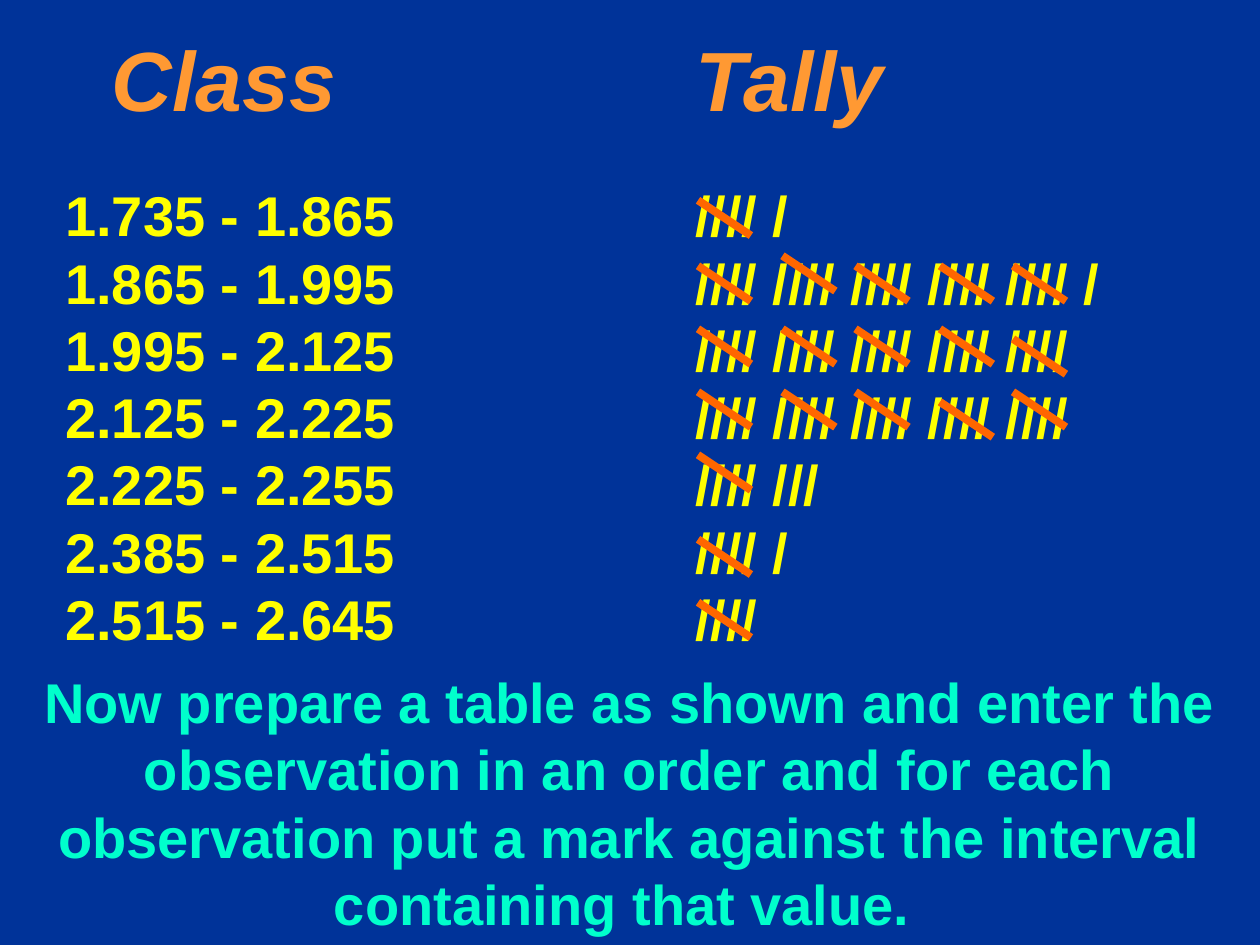
"""Build a slide that shows class intervals with their tally marks."""
import pptx
import pptx.dml.color
import pptx.enum.shapes
import pptx.enum.text
import pptx.oxml
import pptx.oxml.ns
import pptx.util

Inches, Pt = pptx.util.Inches, pptx.util.Pt
ALIGN = pptx.enum.text.PP_ALIGN

HEADINGS = ("Class", "Tally")
ROWS = [
    ("1.735 - 1.865", "//// /", [1.59]),
    ("1.865 - 1.995", "//// //// //// //// //// /", [2.11, 2.03, 2.11, 2.11, 2.11]),
    ("1.995 - 2.125", "//// //// //// //// ////", [2.61, 2.61, 2.61, 2.61, 2.69]),
    ("2.125 - 2.225", "//// //// //// //// ////", [3.11, 3.11, 3.11, 3.19, 3.11]),
    ("2.225 - 2.255", "//// ///", [3.61]),
    ("2.385 - 2.515", "//// /", [4.28]),
    ("2.515 - 2.645", "////", [4.78]),
]
INSTRUCTION = (
    "Now prepare a table as shown and enter the observation in an order and "
    "for each observation put a mark against the interval containing that value. "
)
STRIKE_LEFTS = [5.54, 6.21, 6.79, 7.46, 8.04]
STRIKE_WIDTH, STRIKE_HEIGHT = 0.42, 0.28
HEADING_TAB, TALLY_TAB = 0.37, 5
LINE_RATIO = 1.2

HEADING = {"size": Pt(48), "bold": True, "italic": True, "name": "Arial"}
BODY = {"size": Pt(32), "bold": True, "italic": False, "name": "Arial"}


def colour(value):
    return pptx.dml.color.RGBColor.from_string(value)


def add_box(page, left, top, width, height):
    frame = page.shapes.add_textbox(*map(Inches, (left, top, width, height))).text_frame
    frame.word_wrap = True
    return frame


def write(paragraph, text, style, hue, tabs=(), align=ALIGN.LEFT, before=0):
    paragraph.alignment = align
    paragraph.line_spacing = Pt(style["size"].pt * LINE_RATIO)
    paragraph.space_before = Pt(before)
    if tabs:
        properties = paragraph._p.get_or_add_pPr()
        stops = pptx.oxml.parse_xml(f"<a:tabLst {pptx.oxml.ns.nsdecls('a')}/>")
        for position in tabs:
            stop = stops.makeelement(pptx.oxml.ns.qn("a:tab"), {"pos": str(Inches(position)), "algn": "l"})
            stops.append(stop)
        properties.append(stops)
    span = paragraph.add_run()
    span.text = text
    for key, value in style.items():
        setattr(span.font, key, value)
    span.font.color.rgb = colour(hue)


def add_strike(page, left, top):
    ends = map(Inches, (left, top, left + STRIKE_WIDTH, top + STRIKE_HEIGHT))
    strike = page.shapes.add_connector(pptx.enum.shapes.MSO_CONNECTOR.STRAIGHT, *ends)
    strike.line.color.rgb = colour("FF6600")
    strike.line.width = Pt(4.5)
    strike._element.spPr.append(pptx.oxml.parse_xml(f"<a:effectLst {pptx.oxml.ns.nsdecls('a')}/>"))


def main():
    deck = pptx.Presentation()
    deck.slide_width, deck.slide_height = Inches(10), Inches(7.5)
    page = deck.slides.add_slide(deck.slide_layouts[6])
    page.background.fill.solid()
    page.background.fill.fore_color.rgb = colour("003399")

    instruction = add_box(page, 0, 5.25, 10, 2.24)
    write(instruction.paragraphs[0], INSTRUCTION, BODY, "00FFCC", align=ALIGN.CENTER)

    tally = add_box(page, 0.42, 0.17, 9.33, 5.05)
    write(tally.paragraphs[0], "\t" + "\t".join(HEADINGS), HEADING, "FF9933", (HEADING_TAB, TALLY_TAB))
    for index, (interval, marks, strike_tops) in enumerate(ROWS):
        write(tally.add_paragraph(), f"{interval}\t{marks}", BODY, "FFFF00", (TALLY_TAB,),
              before=0 if index else 30)
        for left, top in zip(STRIKE_LEFTS, strike_tops):
            add_strike(page, left, top)

    deck.save("out.pptx")


if __name__ == "__main__":
    main()
